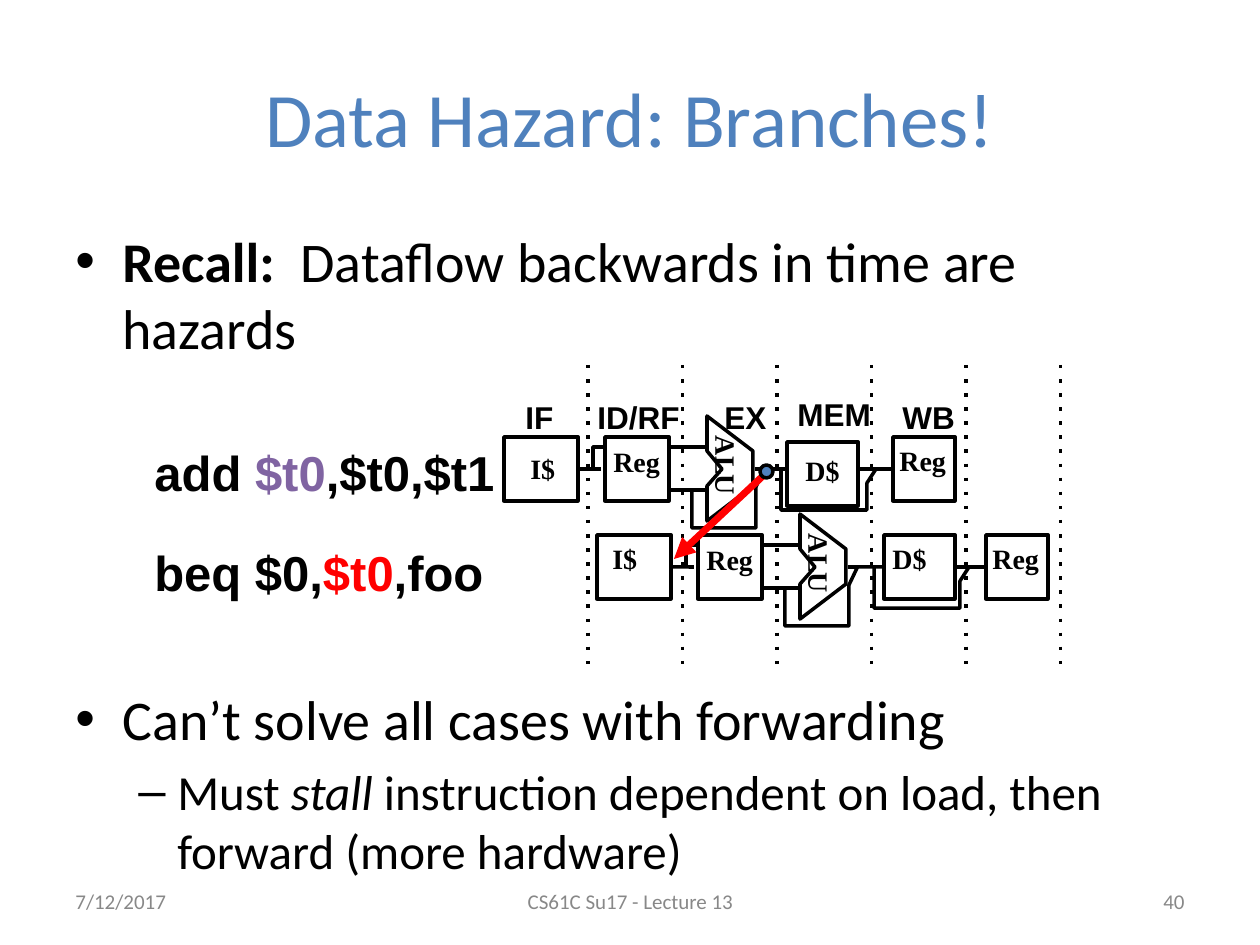
from dataclasses import dataclass

from lxml.etree import SubElement
from pptx import Presentation
from pptx.dml.color import RGBColor
from pptx.enum.dml import MSO_LINE
from pptx.enum.shapes import MSO_CONNECTOR, MSO_SHAPE
from pptx.enum.text import MSO_ANCHOR, PP_ALIGN
from pptx.oxml.ns import qn
from pptx.util import Pt

EMU_PER_PX = 914400 / 126
LEFT, RIGHT = 1, 3  # connection sites of a rectangle


@dataclass(frozen=True)
class Theme:
    ink: str = "000000"
    accent: str = "4F81BD"
    written: str = "8064A2"
    hazard: str = "FF0000"
    muted: str = "888888"
    body_font: str = "Calibri"
    code_font: str = "Arial"
    unit_font: str = "Times New Roman"
    title: int = 44
    bullet: int = 32
    sub_bullet: int = 28
    code: int = 28
    stage: int = 18
    unit: int = 16
    footer: int = 12
    stroke: int = 2
    arrow: int = 4


THEME = Theme()


def px(value):
    return round(value * EMU_PER_PX)


def rgb(value):
    return RGBColor.from_string(value)


def set_font(paragraph, name, size, color, bold=None):
    font = paragraph.font
    font.name, font.size, font.bold = name, Pt(size), bold
    font.color.rgb = rgb(color)


def add_frame(slide, box, wrap=True, anchor=MSO_ANCHOR.TOP, rotation=0):
    holder = slide.shapes.add_textbox(*map(px, box))
    holder.rotation = rotation
    frame = holder.text_frame
    frame.word_wrap = wrap
    frame.vertical_anchor = anchor
    return frame


def add_text(slide, box, text, font, size, color=THEME.ink, bold=None,
             align=PP_ALIGN.LEFT, **frame_options):
    paragraph = add_frame(slide, box, **frame_options).paragraphs[0]
    paragraph.text = text
    paragraph.alignment = align
    set_font(paragraph, font, size, color, bold)


def add_bullet(paragraph, mark, indent, hanging, size):
    properties = paragraph._p.get_or_add_pPr()
    properties.set("marL", str(px(indent)))
    properties.set("indent", str(-px(hanging)))
    SubElement(properties, qn("a:buFont")).set("typeface", "Arial")
    SubElement(properties, qn("a:buChar")).set("char", mark)
    set_font(paragraph, THEME.body_font, size, THEME.ink)


def add_run(paragraph, text):
    run = paragraph.add_run()
    run.text = text
    return run


def add_instruction(slide, box, parts):
    paragraph = add_frame(slide, box).paragraphs[0]
    set_font(paragraph, THEME.code_font, THEME.code, THEME.ink, True)
    for text, color in parts:
        add_run(paragraph, text).font.color.rgb = rgb(color)


def add_line(slide, start, end, color=THEME.ink, width=THEME.stroke):
    line = slide.shapes.add_connector(
        MSO_CONNECTOR.STRAIGHT, *map(px, (*start, *end)))
    line.line.color.rgb = rgb(color)
    line.line.width = Pt(width)
    SubElement(line._element.spPr, qn("a:effectLst"))
    return line


def style_shape(shape, fill=None):
    shape.shadow.inherit = False
    if fill:
        shape.fill.solid()
        shape.fill.fore_color.rgb = rgb(fill)
    else:
        shape.fill.background()
    shape.line.color.rgb = rgb(THEME.ink)
    shape.line.width = Pt(THEME.stroke)


def add_unit(slide, x, y, width):
    unit = slide.shapes.add_shape(
        MSO_SHAPE.RECTANGLE, px(x), px(y), px(width), px(64))
    style_shape(unit)
    return unit


def add_path(slide, x, y, points):
    (first_x, first_y), *rest = [(x + dx, y + dy) for dx, dy in points]
    builder = slide.shapes.build_freeform(first_x, first_y, scale=EMU_PER_PX)
    builder.add_line_segments(rest, close=False)
    style_shape(builder.convert_to_shape())


def add_pipeline(slide, x, y, cache_at, fetch_label, cache_label):
    """One instruction's datapath; all offsets count from its fetch unit."""
    mid = y + 32
    cache_x, cache_y = cache_at

    # Units
    fetch = add_unit(slide, x, y, 74)
    add_unit(slide, x + 101, y, 64)
    cache = add_unit(slide, x + cache_x, y + cache_y, 71)
    write_back = add_unit(slide, x + 389, y, 62)
    add_path(slide, x + 203, y - 21, [
        (0, 70), (15, 53), (0, 35), (0, 0), (46, 35), (46, 70), (0, 105), (0, 70)])

    # Wires between units
    fetch_wire = add_line(slide, (x + 74, mid), (x + 97, mid))
    fetch_wire.begin_connect(fetch, RIGHT)
    for operand_y in (y + 10, y + 53):
        add_line(slide, (x + 166, operand_y), (x + 202, operand_y))
    alu_wire = add_line(slide, (x + 251, mid), (x + 285, mid))
    cache_wire = add_line(slide, (x + 356, mid), (x + 389, mid))
    cache_wire.end_connect(write_back, LEFT)
    if cache_y == 0:
        alu_wire.end_connect(cache, LEFT)
        cache_wire.begin_connect(cache, RIGHT)

    # Branching and bypass wires
    for points in (
        [(89, 32), (89, 10), (99, 10)],
        [(188, 53), (188, 91), (252, 91), (252, 50), (261, 31)],
        [(277, 32), (277, 73), (363, 73), (363, 46), (372, 32)],
    ):
        add_path(slide, x, y, points)

    # Unit labels
    for text, (dx, dy), width, rotation in (
        ("I$", fetch_label, 50, 0), ("Reg", (97, 1), 72, 0),
        ("ALU", (181, 6), 84, 90), ("D$", cache_label, 59, 0),
        ("Reg", (383, 0), 72, 0),
    ):
        add_text(slide, (x + dx, y + dy, width, 45), text, THEME.unit_font,
                 THEME.unit, bold=True, wrap=False, rotation=rotation)


def add_body(slide):
    frame = add_frame(slide, (63, 220, 1134, 680))
    recall = frame.paragraphs[0]
    add_bullet(recall, "•", 47, 47, THEME.bullet)
    add_run(recall, "Recall:").font.bold = True
    add_run(recall, "  Dataflow backwards in time are hazards")

    limit = frame.add_paragraph()
    limit.text = "Can’t solve all cases with forwarding"
    limit.space_before = Pt(185)  # room for the pipeline diagram
    add_bullet(limit, "•", 47, 47, THEME.bullet)

    remedy = frame.add_paragraph()
    remedy.level = 1
    remedy.space_before = Pt(5.6)
    add_bullet(remedy, "–", 102, 39, THEME.sub_bullet)
    add_run(remedy, "Must ")
    add_run(remedy, "stall").font.italic = True
    add_run(remedy, " instruction dependent on load, then forward (more hardware)")


def main():
    deck = Presentation()
    deck.slide_width, deck.slide_height = px(1260), px(945)
    slide = deck.slides.add_slide(deck.slide_layouts[6])

    # Title and bullets
    add_text(slide, (63, 38, 1134, 158), "Data Hazard: Branches!",
             THEME.body_font, THEME.title, THEME.accent,
             align=PP_ALIGN.CENTER, anchor=MSO_ANCHOR.MIDDLE)
    add_body(slide)

    # Clock cycle boundaries
    for cycle in range(6):
        x = 588 + cycle * 94.5
        boundary = add_line(slide, (x, 365), (x, 668))
        boundary.line.dash_style = MSO_LINE.ROUND_DOT
        next(boundary._element.iter(qn("a:prstDash"))).set("val", "dot")

    # Instructions and their pipelines
    add_instruction(slide, (142, 436, 369, 72), [
        ("add ", THEME.ink), ("$t0", THEME.written), (",$t0,$t1", THEME.ink)])
    add_instruction(slide, (142, 536, 426, 72), [
        ("beq $0,", THEME.ink), ("$t0", THEME.hazard), (",foo", THEME.ink)])
    add_pipeline(slide, 504, 437, (283, 5), (14, 8), (289, 10))
    add_pipeline(slide, 597, 535, (287, 0), (3, 0), (283, 0))

    # Stage names
    for text, x, y, width in (
        ("IF", 513, 392, 54), ("ID/RF", 585, 392, 108), ("EX", 712, 392, 69),
        ("MEM", 785, 389, 101), ("WB", 890, 392, 79),
    ):
        add_text(slide, (x, y, width, 50), text, THEME.code_font,
                 THEME.stage, bold=True, wrap=False)

    # Hazard: the result is needed before it is ready
    hazard = add_line(slide, (764, 475), (674, 559), THEME.hazard, THEME.arrow)
    SubElement(hazard.line._get_or_add_ln(), qn("a:tailEnd")).set("type", "triangle")
    result = slide.shapes.add_shape(
        MSO_SHAPE.OVAL, px(760), px(465), px(13), px(13))
    style_shape(result, THEME.accent)

    # Footer
    for text, x, width, align in (
        ("7/12/2017", 63, 294, PP_ALIGN.LEFT),
        ("CS61C Su17 - Lecture 13", 431, 399, PP_ALIGN.CENTER),
        ("40", 903, 294, PP_ALIGN.RIGHT),
    ):
        add_text(slide, (x, 876, width, 50), text, THEME.body_font, THEME.footer,
                 THEME.muted, align=align, anchor=MSO_ANCHOR.MIDDLE)

    deck.save("out.pptx")


if __name__ == "__main__":
    main()
